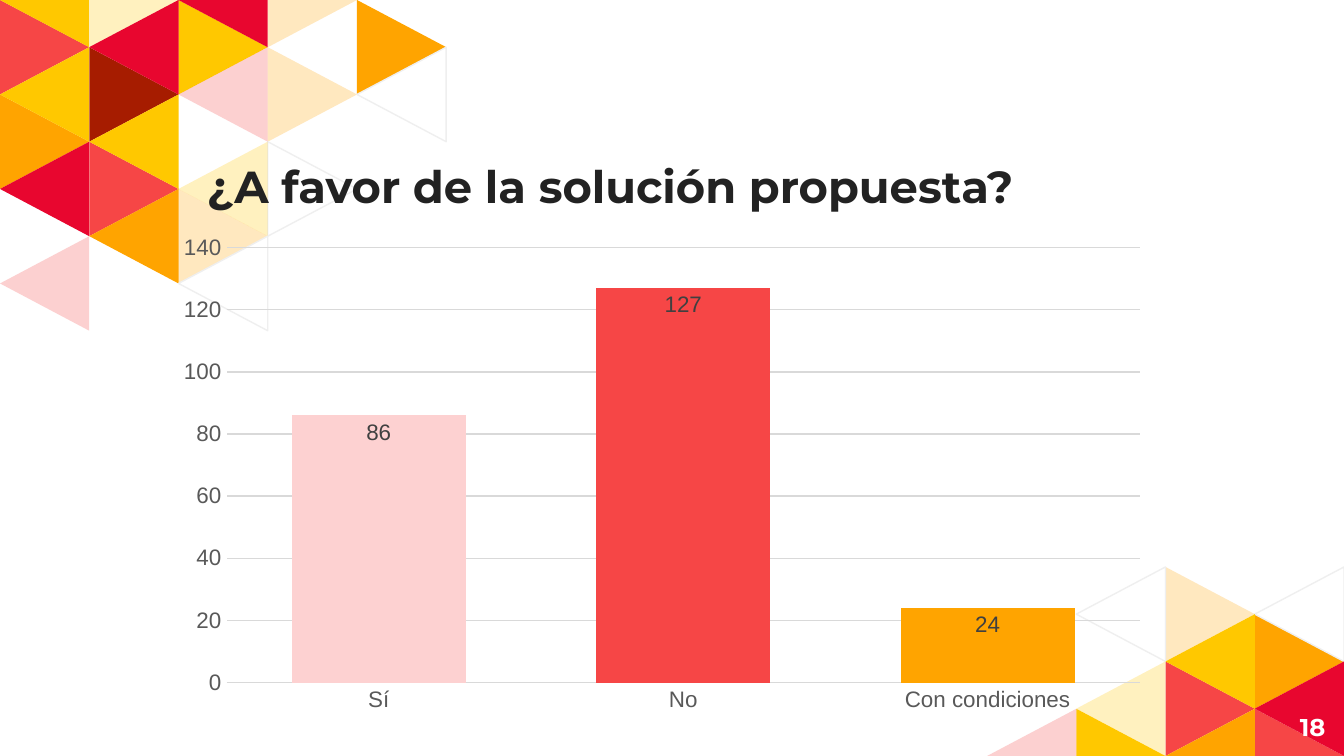
"""Build the survey slide: a column chart between two corner mosaics of triangles."""
from typing import NamedTuple

from lxml.etree import SubElement
from pptx import Presentation
from pptx.chart.data import CategoryChartData
from pptx.dml.color import RGBColor
from pptx.enum.chart import XL_CHART_TYPE as ChartType
from pptx.enum.chart import XL_LABEL_POSITION as LabelPosition
from pptx.enum.chart import XL_TICK_MARK as TickMark
from pptx.enum.text import MSO_ANCHOR as Anchor
from pptx.enum.text import PP_ALIGN as Align
from pptx.oxml.ns import qn
from pptx.util import Inches, Pt

COLORS = {
    "orange": "FFA400", "yellow": "FFC800", "coral": "F64646", "red": "E8062F",
    "maroon": "A61C00", "white": "FFFFFF", "outline": "EFEFEF", "title": "222222",
    "pink": "FDD1D1", "axis": "595959", "grid": "D9D9D9", "label": "404040",
    "series": "3A81BA",
}
SLIDE_WIDTH = 10
SLIDE_HEIGHT = SLIDE_WIDTH * 9 / 16
COLUMN = 3.32 / 5
ROW = SLIDE_HEIGHT / 16


class Triangle(NamedTuple):
    points_right: bool
    column: int
    row: int
    color: str
    pale: bool = False


class Mosaic(NamedTuple):
    left: float
    top: float
    rows: int
    triangles: list[Triangle]


BOTTOM = Mosaic(SLIDE_WIDTH - 4 * COLUMN, SLIDE_HEIGHT - 4 * ROW, 4, [
    Triangle(True, 2, 0, "orange", True),
    Triangle(True, 3, 1, "orange"),
    Triangle(True, 1, 3, "yellow"),
    Triangle(True, 2, 2, "coral"),
    Triangle(True, 3, 3, "coral"),
    Triangle(False, 1, 0, "white"),
    Triangle(False, 3, 0, "white"),
    Triangle(False, 2, 1, "yellow"),
    Triangle(False, 1, 2, "yellow", True),
    Triangle(False, 2, 3, "orange"),
    Triangle(False, 3, 2, "red"),
    Triangle(False, 0, 3, "coral", True),
])
TOP = Mosaic(0, 0, 7, [
    Triangle(True, 0, 2, "orange"),
    Triangle(True, 1, 1, "maroon"),
    Triangle(True, 1, 3, "coral"),
    Triangle(True, 3, 1, "orange", True),
    Triangle(True, 2, 4, "orange", True),
    Triangle(True, 3, 3, "white"),
    Triangle(True, 0, 0, "coral"),
    Triangle(True, 1, -1, "yellow", True),
    Triangle(True, 2, 0, "yellow"),
    Triangle(True, 3, -1, "orange", True),
    Triangle(True, 4, 0, "orange"),
    Triangle(False, 0, 1, "yellow"),
    Triangle(False, 1, 2, "yellow"),
    Triangle(False, 0, 3, "red"),
    Triangle(False, 1, 4, "orange"),
    Triangle(False, 0, 5, "coral", True),
    Triangle(False, 2, 1, "coral", True),
    Triangle(False, 2, 3, "yellow", True),
    Triangle(False, 2, 5, "white"),
    Triangle(False, 4, 1, "white"),
    Triangle(False, 0, -1, "yellow"),
    Triangle(False, 1, 0, "red"),
    Triangle(False, 2, -1, "red"),
])


def rgb(name: str) -> RGBColor:
    return RGBColor.from_string(COLORS[name])


def draw_triangle(slide, mosaic: Mosaic, triangle: Triangle) -> None:
    base, tip = triangle.column, triangle.column + 1
    if not triangle.points_right:
        base, tip = tip, base
    corners = [(base, triangle.row), (base, triangle.row + 2), (tip, triangle.row + 1)]
    points = [
        (Inches(mosaic.left + column * COLUMN),
         Inches(mosaic.top + min(max(row, 0), mosaic.rows) * ROW))
        for column, row in corners
    ]
    builder = slide.shapes.build_freeform(*points[0])
    builder.add_line_segments(points[1:], close=True)
    shape = builder.convert_to_shape()
    shape.shadow.inherit = False
    shape.fill.solid()
    shape.fill.fore_color.rgb = rgb(triangle.color)
    if triangle.pale:
        color = shape.element.spPr.find(qn("a:solidFill"))[0]
        SubElement(color, qn("a:alpha")).set("val", "25000")
    if triangle.color == "white":
        shape.line.color.rgb = rgb("outline")
        shape.line.width = Pt(0.75)
    else:
        shape.line.fill.background()


def place(shape, left: float, top: float, width: float, height: float) -> None:
    shape.left, shape.top = Inches(left), Inches(top)
    shape.width, shape.height = Inches(width), Inches(height)


def write_text(shape, text: str, *, size: float, color: str, align: Align, anchor: Anchor) -> None:
    frame = shape.text_frame
    frame.word_wrap = True
    frame.vertical_anchor = anchor
    frame.margin_left = frame.margin_right = Inches(0.1)
    frame.margin_top = frame.margin_bottom = Inches(0.1)
    paragraph = frame.paragraphs[0]
    paragraph.alignment = align
    run = paragraph.add_run()
    run.text = text
    format_font(run.font, size, color, "Montserrat", bold=True)


def format_font(font, size: float, color: str, name: str = "Arial", bold: bool = False) -> None:
    font.size, font.name, font.bold = Pt(size), name, bold
    font.color.rgb = rgb(color)


def format_line(line) -> None:
    line.color.rgb = rgb("grid")
    line.width = Pt(0.75)


def add_votes_chart(slide) -> None:
    data = CategoryChartData()
    data.categories = ["Sí", "No", "Con condiciones"]
    data.add_series("Series 1", (86, 127, 24))
    chart = slide.shapes.add_chart(
        ChartType.COLUMN_CLUSTERED, Inches(1.22), Inches(1.68), Inches(7.41), Inches(3.69), data
    ).chart
    chart.has_title = chart.has_legend = False
    chart.font.size, chart.font.name = Pt(10), "Arial"

    categories, values = chart.category_axis, chart.value_axis
    for axis in (categories, values):
        axis.major_tick_mark = axis.minor_tick_mark = TickMark.NONE
        format_font(axis.tick_labels.font, 12, "axis")
    format_line(categories.format.line)
    values.minimum_scale, values.maximum_scale, values.major_unit = 0, 140, 20
    values.format.line.fill.background()
    format_line(values.major_gridlines.format.line)

    plot = chart.plots[0]
    plot.gap_width, plot.overlap, plot.vary_by_categories = 75, 40, False
    series = plot.series[0]
    series.format.fill.solid()
    series.format.fill.fore_color.rgb = rgb("series")
    for index, color in enumerate(("pink", "coral", "orange")):
        fill = series.points[index].format.fill
        fill.solid()
        fill.fore_color.rgb = rgb(color)
    labels = series.data_labels
    labels.show_value = True
    labels.position = LabelPosition.INSIDE_END
    format_font(labels.font, 12, "label")


def main() -> None:
    presentation = Presentation()
    presentation.slide_width = Inches(SLIDE_WIDTH)
    presentation.slide_height = Inches(SLIDE_HEIGHT)
    slide = presentation.slides.add_slide(presentation.slide_layouts[5])

    for mosaic in (BOTTOM, TOP):
        for triangle in mosaic.triangles:
            draw_triangle(slide, mosaic, triangle)

    title = slide.shapes.title
    title.element.getparent().append(title.element)
    place(title, 1.44, 0.95, 7.06, 0.73)
    write_text(title, "¿A favor de la solución propuesta?", size=24, color="title",
               align=Align.LEFT, anchor=Anchor.BOTTOM)
    number = slide.shapes.add_textbox(0, 0, 0, 0)
    place(number, 9.36, 5.19, 0.6, 0.43)
    write_text(number, "18", size=13, color="white", align=Align.RIGHT, anchor=Anchor.MIDDLE)
    add_votes_chart(slide)
    presentation.save("out.pptx")


if __name__ == "__main__":
    main()
